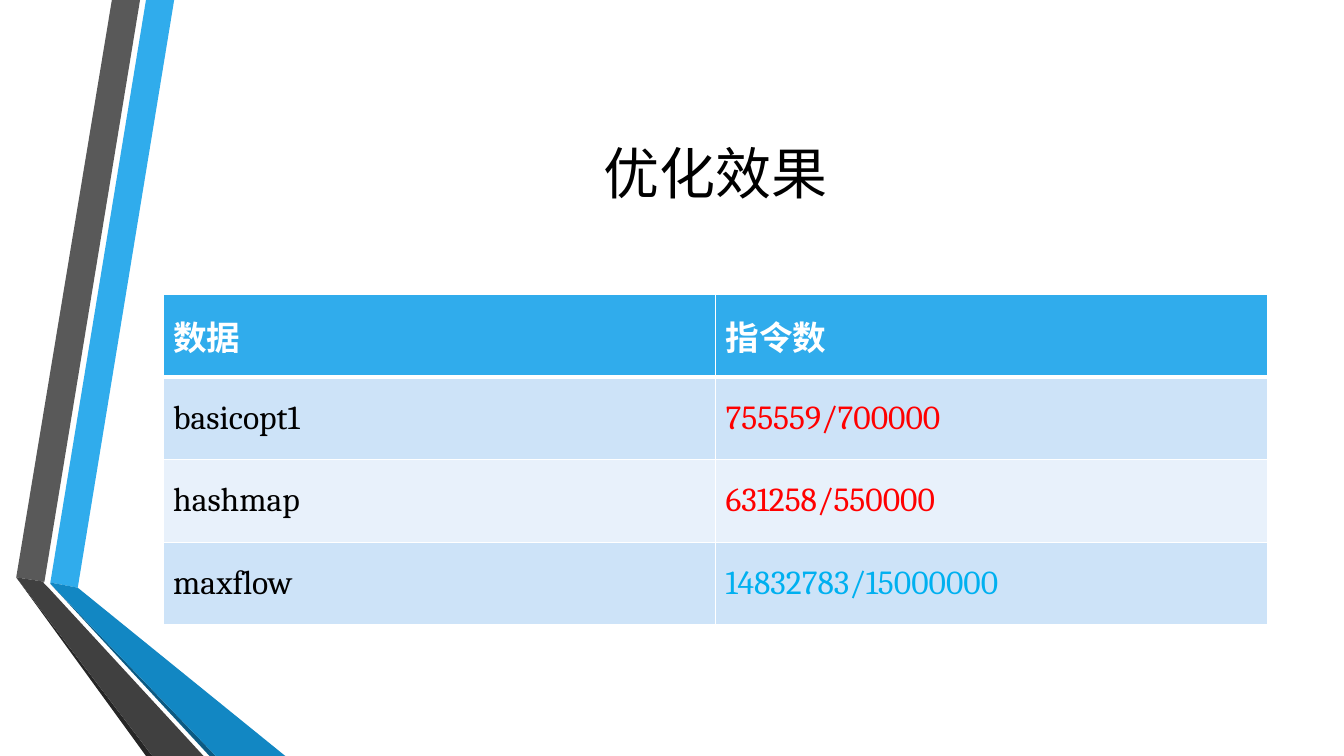
from lxml.etree import SubElement
from pptx import Presentation
from pptx.dml.color import RGBColor
from pptx.enum.text import MSO_ANCHOR, PP_ALIGN
from pptx.oxml.ns import qn
from pptx.util import Cm, Pt

FONT = "Cambria"
WHITE = RGBColor(0xFF, 0xFF, 0xFF)
BLACK = RGBColor(0x00, 0x00, 0x00)
RED = RGBColor(0xFF, 0x00, 0x00)
CYAN = RGBColor(0x00, 0xB0, 0xF0)
BLUE = RGBColor(0x30, 0xAC, 0xEC)
BLUE_FOLD = RGBColor(0x12, 0x87, 0xC3)
BLUE_EDGE = RGBColor(0x0C, 0x5A, 0x82)
GREY = RGBColor(0x59, 0x59, 0x59)
GREY_FOLD = RGBColor(0x40, 0x40, 0x40)
GREY_EDGE = RGBColor(0x26, 0x26, 0x26)
BANDS = (RGBColor(0xCD, 0xE3, 0xF8), RGBColor(0xE8, 0xF1, 0xFB))

# Ribbon outlines in cm, from back to front
RIBBONS = [
    (BLUE, [(1.27, 14.68), (1.96, 14.81), (4.39, 0), (3.68, 0)]),
    (GREY, [(3.53, 0), (2.82, 0), (0.41, 14.55), (1.12, 14.66)]),
    (GREY_EDGE, [(0.41, 14.55), (3.68, 19.05), (3.84, 19.05)]),
    (BLUE_EDGE, [(1.27, 14.71), (5.28, 19.05), (5.44, 19.05)]),
    (BLUE_FOLD, [(1.27, 14.71), (5.44, 19.05), (7.19, 19.05),
                 (1.96, 14.81), (1.27, 14.68)]),
    (GREY_FOLD, [(5.13, 19.05), (1.22, 14.81), (1.09, 14.68),
                 (1.12, 14.66), (0.41, 14.55), (3.84, 19.05)]),
]

HEADINGS = ("数据", "指令数")
RESULTS = [
    ("basicopt1", "755559/700000", RED),
    ("hashmap", "631258/550000", RED),
    ("maxflow", "14832783/15000000", CYAN),
]


def write_text(frame, text, size=24, color=BLACK, bold=False, align=PP_ALIGN.LEFT):
    para = frame.paragraphs[0]
    para.alignment = align
    span = para.add_run()
    span.text = text
    span.font.name = FONT
    span.font.size = Pt(size)
    span.font.bold = bold
    span.font.color.rgb = color


def set_borders(cell, **widths):
    properties = cell._tc.get_or_add_tcPr()
    for side in "LRTB":
        line = SubElement(properties, qn(f"a:ln{side}"), w=str(Pt(widths.get(side, 1))))
        fill = SubElement(line, qn("a:solidFill"))
        SubElement(fill, qn("a:srgbClr"), val=str(WHITE))


def add_ribbons(page, left, top):
    for color, outline in RIBBONS:
        points = [(Cm(left + x), Cm(top + y)) for x, y in outline]
        builder = page.shapes.build_freeform(*points[0])
        builder.add_line_segments(points[1:], close=True)
        ribbon = builder.convert_to_shape()
        ribbon.shadow.inherit = False
        ribbon.fill.solid()
        ribbon.fill.fore_color.rgb = color
        ribbon.line.fill.background()


def add_title(page, text, left, top, width, height):
    box = page.shapes.add_textbox(Cm(left), Cm(top), Cm(width), Cm(height))
    frame = box.text_frame
    frame.word_wrap = True
    frame.vertical_anchor = MSO_ANCHOR.MIDDLE
    write_text(frame, text, size=40, align=PP_ALIGN.CENTER)


def fill_cell(cell, text, background, borders, **text_format):
    set_borders(cell, **borders)
    cell.fill.solid()
    cell.fill.fore_color.rgb = background
    cell.vertical_anchor = MSO_ANCHOR.MIDDLE
    write_text(cell.text_frame, text, **text_format)


def add_results_table(page, left, top, width, height):
    table = page.shapes.add_table(
        len(RESULTS) + 1, len(HEADINGS), Cm(left), Cm(top), Cm(width), Cm(height)
    ).table

    # Header row, with a thicker rule below
    for column, heading in enumerate(HEADINGS):
        fill_cell(table.cell(0, column), heading, BLUE, {"B": 3},
                  color=WHITE, bold=True)

    # Banded result rows
    for row, (name, count, color) in enumerate(RESULTS, start=1):
        band = BANDS[(row - 1) % 2]
        borders = {"T": 3} if row == 1 else {}
        fill_cell(table.cell(row, 0), name, band, borders)
        fill_cell(table.cell(row, 1), count, band, borders, color=color)


def build_results_slide(deck):
    page = deck.slides.add_slide(deck.slide_layouts[6])
    add_ribbons(page, 0, 0)
    add_title(page, "优化效果", 4.11, 1.9, 27.84, 4.88)
    add_results_table(page, 4.11, 7.42, 27.84, 8.33)


deck = Presentation()
deck.slide_width = Cm(33.87)
deck.slide_height = Cm(19.05)
build_results_slide(deck)
deck.save("out.pptx")
